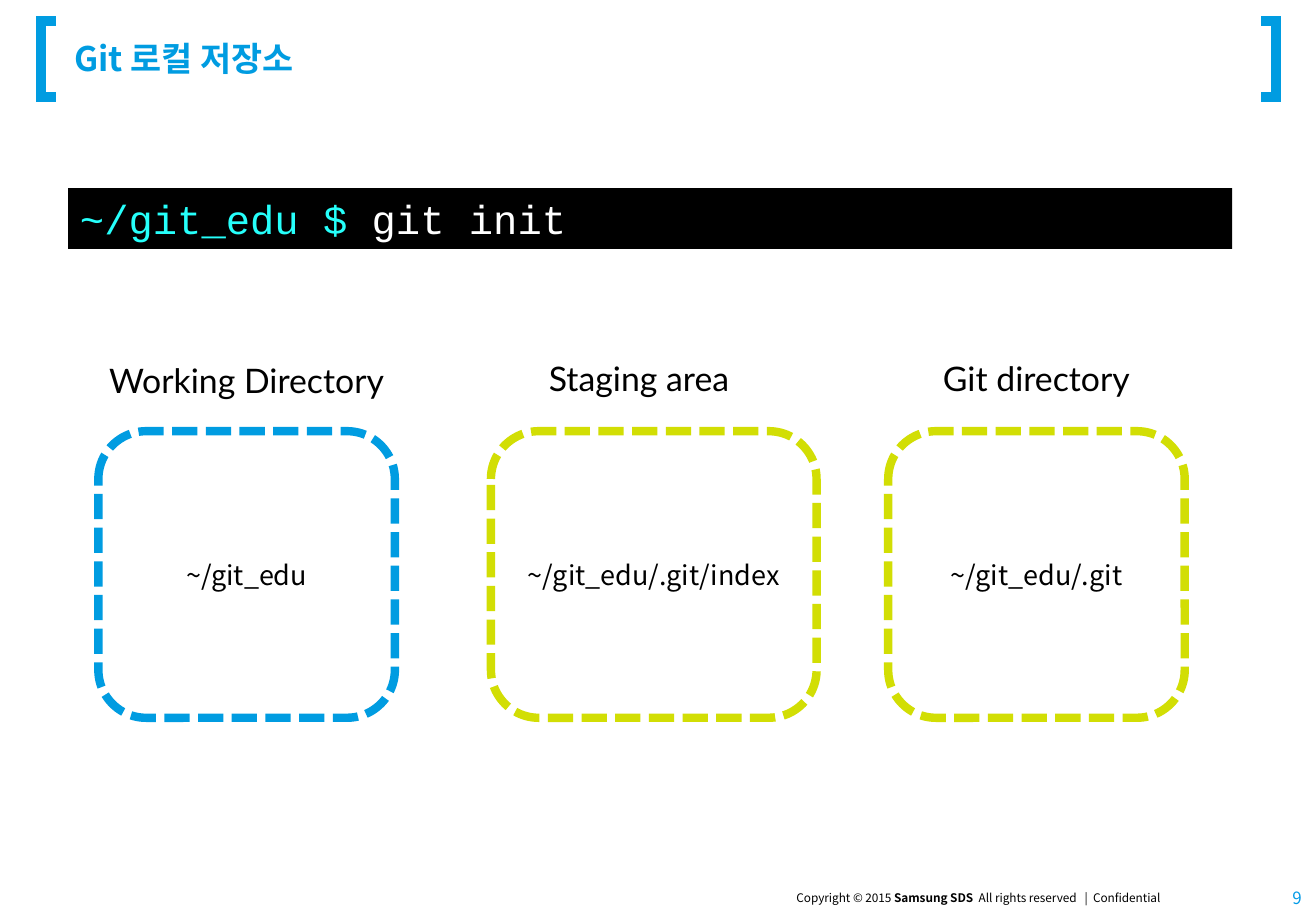
import pptx
import pptx.dml.color
import pptx.enum.dml
import pptx.enum.shapes
import pptx.enum.text
import pptx.oxml.ns
import pptx.util
from lxml import etree

Inches = pptx.util.Inches
Pt = pptx.util.Pt
Kind = pptx.enum.shapes.MSO_SHAPE
Align = pptx.enum.text.PP_ALIGN
Anchor = pptx.enum.text.MSO_ANCHOR

COLORS = {"blue": "009CE1", "page": "039BE7", "lime": "D2DE04",
          "cyan": "26FFFB", "black": "000000", "white": "FFFFFF"}
SANS, LABEL, MONO = "Noto Sans CJK KR", "Lato", "Courier New"


def rgb(name):
    return pptx.dml.color.RGBColor.from_string(COLORS[name])


def child(parent, tag, **attrs):
    return etree.SubElement(parent, pptx.oxml.ns.qn(tag), attrs)


class Deck:
    def __init__(self, width, height):
        self.prs = pptx.Presentation()
        self.prs.slide_width = Inches(width)
        self.prs.slide_height = Inches(height)
        self.slide = self.prs.slides.add_slide(self.prs.slide_layouts[6])
        self.shapes = self.slide.shapes

    def label(self, shape, runs, size, face, align=Align.LEFT, **form):
        """Fill a shape with one line; runs are (text, color, bold)."""
        frame = shape.text_frame
        form = {"word_wrap": True, "vertical_anchor": Anchor.TOP, **form}
        for key, value in form.items():
            setattr(frame, key, value)
        line = frame.paragraphs[0]
        line.alignment = align
        for text, color, bold in runs:
            run = line.add_run()
            run.text = text
            style = {"size": Pt(size), "name": face, "bold": bold}
            for key, value in style.items():
                setattr(run.font, key, value)
            run.font.color.rgb = rgb(color)
            child(run.font._element, "a:ea", typeface=face)

    def text(self, at, *args, **form):
        self.label(self.shapes.add_textbox(*map(Inches, at)), *args, **form)

    def box(self, kind, at, fill, edge=None):
        shape = self.shapes.add_shape(kind, *map(Inches, at))
        shape.shadow.inherit = False
        shape.fill.solid()
        shape.fill.fore_color.rgb = rgb(fill)
        if edge:
            shape.line.color.rgb = rgb(edge)
            shape.line.width = Pt(5)
            shape.line.dash_style = pptx.enum.dml.MSO_LINE.SQUARE_DOT
        else:
            shape.line.fill.background()
        return shape

    def bracket(self, tip, side, top, bottom):
        outline = self.shapes.build_freeform(Inches(tip), Inches(top))
        ends = [(side, top), (side, bottom), (tip, bottom)]
        outline.add_line_segments(
            [(Inches(x), Inches(y)) for x, y in ends], close=False)
        shape = outline.convert_to_shape()
        shape.shadow.inherit = False
        shape.fill.background()
        shape.line.color.rgb = rgb("blue")
        shape.line.width = Pt(6)
        child(shape.line._get_or_add_ln(), "a:miter", lim="800000")


def main():
    deck = Deck(10.83, 7.5)

    # Title between brackets
    for tip, side in [(0.46, 0.34), (10.38, 10.5)]:
        deck.bracket(tip, side, 0.17, 0.8)
    deck.text((0.61, 0.22, 8.98, 0.51), [("Git 로컬 저장소", "blue", True)],
              20, SANS, vertical_anchor=Anchor.MIDDLE, margin_left=0)

    # Command line
    shell = deck.box(Kind.RECTANGLE, (0.56, 1.55, 9.58, 0.5), "black")
    deck.label(shell, [("~/git_edu $ ", "cyan", False),
                       ("git init", "white", False)], 24, MONO)

    # Three areas: label, label middle and top, place, left, width, edge
    areas = [
        ("Working Directory", 2.03, 2.91, "~/git_edu", 0.81, 2.44, "blue"),
        ("Staging area", 5.26, 2.9, "~/git_edu/.git/index", 4.04, 2.68, "lime"),
        ("Git directory", 8.53, 2.9, "~/git_edu/.git", 7.31, 2.44, "lime"),
    ]
    for name, mid, top, place, left, width, edge in areas:
        deck.text((mid - 1.3, top, 2.6, 0.44), [(name, "black", False)],
                  20, LABEL, Align.CENTER)
        area = deck.box(Kind.ROUNDED_RECTANGLE, (left, 3.55, width, 2.36),
                        "white", edge)
        deck.label(area, [(place, "black", False)], 16, SANS, Align.CENTER,
                   vertical_anchor=Anchor.MIDDLE)

    # Footer
    deck.text((5.73, 7.28, 3.94, 0.22),
              [("Copyright © 2015 ", "black", False),
               ("Samsung SDS  ", "black", True),
               ("All rights reserved   |  Confidential ", "black", False)],
              7, SANS, Align.RIGHT, margin_left=0)
    deck.text((10.34, 7.29, 0.47, 0.2), [("9", "page", False)], 10, SANS,
              Align.RIGHT, vertical_anchor=Anchor.MIDDLE)

    deck.prs.save("out.pptx")


if __name__ == "__main__":
    main()
